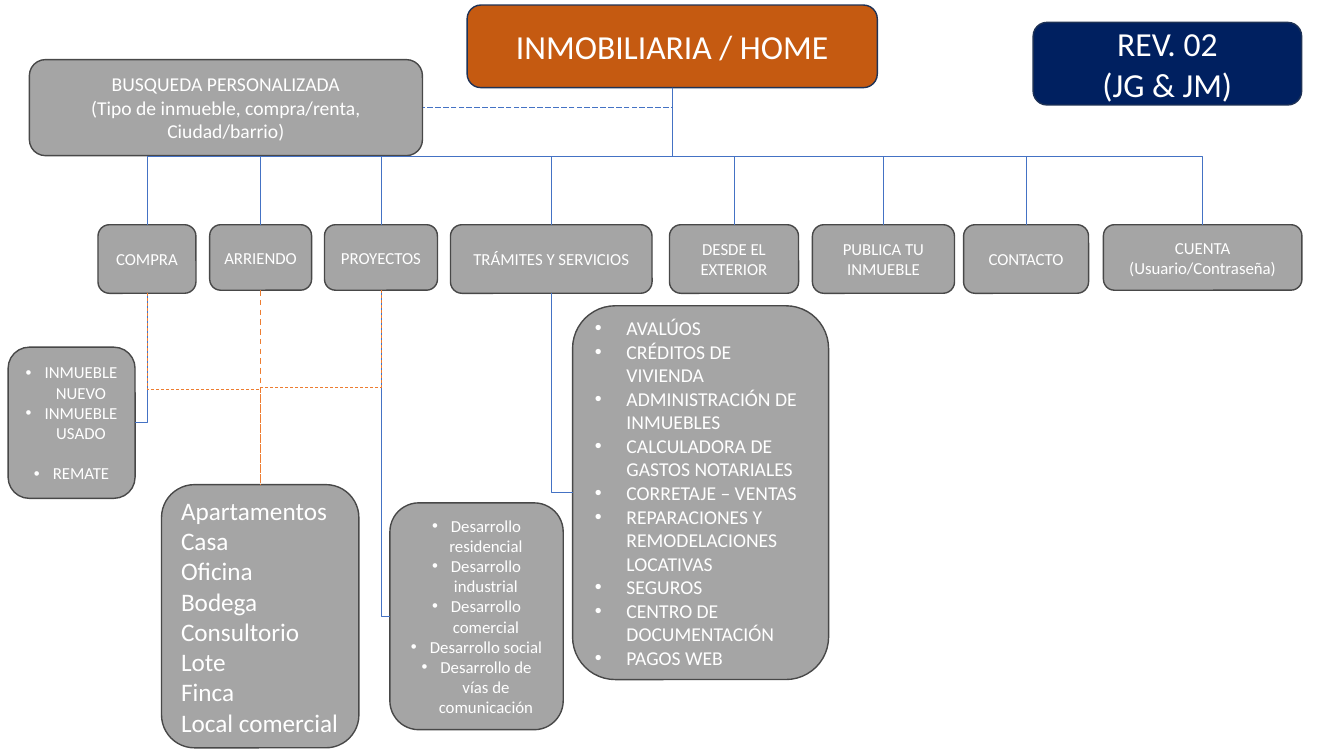
from lxml.etree import SubElement
from pptx import Presentation
from pptx.dml.color import RGBColor
from pptx.enum.dml import MSO_LINE
from pptx.enum.shapes import MSO_CONNECTOR, MSO_SHAPE
from pptx.enum.text import MSO_ANCHOR, PP_ALIGN
from pptx.oxml.ns import qn
from pptx.util import Pt

WHITE = RGBColor(0xFF, 0xFF, 0xFF)
GRAY = RGBColor(0xA5, 0xA5, 0xA5)
DARK_GRAY = RGBColor(0x48, 0x48, 0x48)
RUST = RGBColor(0xC5, 0x5A, 0x11)
NAVY = RGBColor(0x00, 0x20, 0x60)
SLATE = RGBColor(0x1E, 0x32, 0x56)
BLUE = RGBColor(0x44, 0x72, 0xC4)
ORANGE = RGBColor(0xED, 0x7D, 0x31)

FONT = "Calibri"
TOP, LEFT, BOTTOM, RIGHT = range(4)  # connection sites of a rounded box
MENU_TOP = 160.5

# name, left, width, height, lines
MENU = [
    ("compra", 70, 70, 49, ["COMPRA"]),
    ("arriendo", 149.8, 72.8, 46.8, ["ARRIENDO"]),
    ("proyectos", 231.8, 80.7, 46.8, ["PROYECTOS"]),
    ("tramites", 321.8, 144, 49, ["TRÁMITES Y SERVICIOS"]),
    ("exterior", 478.2, 92.2, 49, ["DESDE EL EXTERIOR"]),
    ("publica", 580.3, 101.5, 49, ["PUBLICA TU INMUEBLE"]),
    ("contacto", 688.3, 89.3, 49, ["CONTACTO"]),
    ("cuenta", 788.2, 141.8, 46.8, ["CUENTA", "(Usuario/Contraseña)"]),
]
ESTADOS = ["INMUEBLE NUEVO", "INMUEBLE USADO", "REMATE"]
TIPOS = ["Apartamentos", "Casa", "Oficina", "Bodega", "Consultorio", "Lote",
         "Finca", "Local comercial"]
DESARROLLOS = ["Desarrollo residencial", "Desarrollo industrial",
               "Desarrollo comercial", "Desarrollo social",
               "Desarrollo de vías de comunicación"]
SERVICIOS = ["AVALÚOS", "CRÉDITOS DE VIVIENDA", "ADMINISTRACIÓN DE INMUEBLES",
             "CALCULADORA DE GASTOS NOTARIALES", "CORRETAJE – VENTAS",
             "REPARACIONES Y REMODELACIONES LOCATIVAS", "SEGUROS",
             "CENTRO DE DOCUMENTACIÓN", "PAGOS WEB"]


def add_bullet(paragraph, indent):
    properties = paragraph._p.get_or_add_pPr()
    properties.set("marL", str(Pt(indent)))
    properties.set("indent", str(-Pt(indent)))
    SubElement(properties, qn("a:buFont"), typeface="Arial")
    SubElement(properties, qn("a:buChar"), char="•")


def add_box(slide, bounds, lines, size=12, fill=GRAY, border=DARK_GRAY,
            align=PP_ALIGN.CENTER, bullet_indent=None):
    box = slide.shapes.add_shape(MSO_SHAPE.ROUNDED_RECTANGLE, *map(Pt, bounds))
    box.shadow.inherit = False
    box.fill.solid()
    box.fill.fore_color.rgb = fill
    box.line.color.rgb = border
    box.line.width = Pt(1)
    frame = box.text_frame
    frame.word_wrap = True
    frame.vertical_anchor = MSO_ANCHOR.MIDDLE
    for index, line in enumerate(lines):
        paragraph = frame.add_paragraph() if index else frame.paragraphs[0]
        paragraph.alignment = align
        if bullet_indent:
            add_bullet(paragraph, bullet_indent)
        run = paragraph.add_run()
        run.text = line
        run.font.name = FONT
        run.font.size = Pt(size)
        run.font.color.rgb = WHITE
    return box


def site_point(box, site):
    middle_x, middle_y = box.left + box.width // 2, box.top + box.height // 2
    return {
        TOP: (middle_x, box.top),
        LEFT: (box.left, middle_y),
        BOTTOM: (middle_x, box.top + box.height),
        RIGHT: (box.left + box.width, middle_y),
    }[site]


def link(slide, parent, child, site=TOP, color=BLUE, width=0.5, dash=None):
    """Run an elbow down from the parent's bottom to a site of the child.

    The elbow is laid out sideways and turned a quarter, so that it leaves
    downwards; it bends once for a side site and twice for the top.
    """
    x1, y1 = site_point(parent, BOTTOM)
    x2, y2 = site_point(child, site)
    elbow = slide.shapes.add_connector(MSO_CONNECTOR.ELBOW, x1, y1, x2, y2)
    elbow.begin_connect(parent, BOTTOM)
    elbow.end_connect(child, site)
    drop, shift = y2 - y1, abs(x2 - x1)
    elbow.left, elbow.top = (x1 + x2 - drop) // 2, (y1 + y2 - shift) // 2
    elbow.width, elbow.height = drop, shift

    properties = elbow._element.spPr
    properties.xfrm.rot = 90
    properties.xfrm.flipH = False
    properties.xfrm.flipV = x2 > x1
    if site != TOP:
        properties.find(qn("a:prstGeom")).set("prst", "bentConnector2")
    elbow.line.color.rgb = color
    elbow.line.width = Pt(width)
    if dash:
        elbow.line.dash_style = dash
    SubElement(properties, qn("a:effectLst"))


def main():
    prs = Presentation()
    prs.slide_width, prs.slide_height = Pt(960), Pt(540)
    slide = prs.slides.add_slide(prs.slide_layouts[6])

    home = add_box(slide, (333.7, 3.6, 293, 59), ["INMOBILIARIA / HOME"],
                   24, RUST, SLATE)
    add_box(slide, (738, 16, 191.8, 59), ["REV. 02", "(JG & JM)"],
            24, NAVY, SLATE)
    busqueda = add_box(
        slide, (21, 42.6, 280.8, 68.6),
        ["BUSQUEDA PERSONALIZADA",
         "(Tipo de inmueble, compra/renta, Ciudad/barrio)"], 14)
    menu = {name: add_box(slide, (left, MENU_TOP, width, height), lines)
            for name, left, width, height, lines in MENU}

    estados = add_box(slide, (5.8, 248, 90.7, 108), ESTADOS,
                      bullet_indent=13.5)
    estados.text_frame.paragraphs[-1].space_before = Pt(14.5)
    tipos = add_box(slide, (115.4, 346.2, 141, 188), TIPOS, 18,
                    align=PP_ALIGN.LEFT)
    desarrollos = add_box(slide, (278.5, 359.2, 123.8, 162), DESARROLLOS,
                          bullet_indent=13.5)
    servicios = add_box(slide, (409, 218.4, 182.9, 267), SERVICIOS, 14,
                        align=PP_ALIGN.LEFT, bullet_indent=22.5)

    for entry in menu.values():
        link(slide, home, entry)
    link(slide, home, busqueda, RIGHT, dash=MSO_LINE.LONG_DASH)
    link(slide, menu["compra"], estados, RIGHT)
    link(slide, menu["proyectos"], desarrollos, LEFT)
    link(slide, menu["tramites"], servicios, LEFT)
    for name, width in (("compra", 0.5), ("arriendo", 1), ("proyectos", 0.5)):
        link(slide, menu[name], tipos, color=ORANGE, width=width,
             dash=MSO_LINE.DASH)

    prs.save("out.pptx")


if __name__ == "__main__":
    main()
